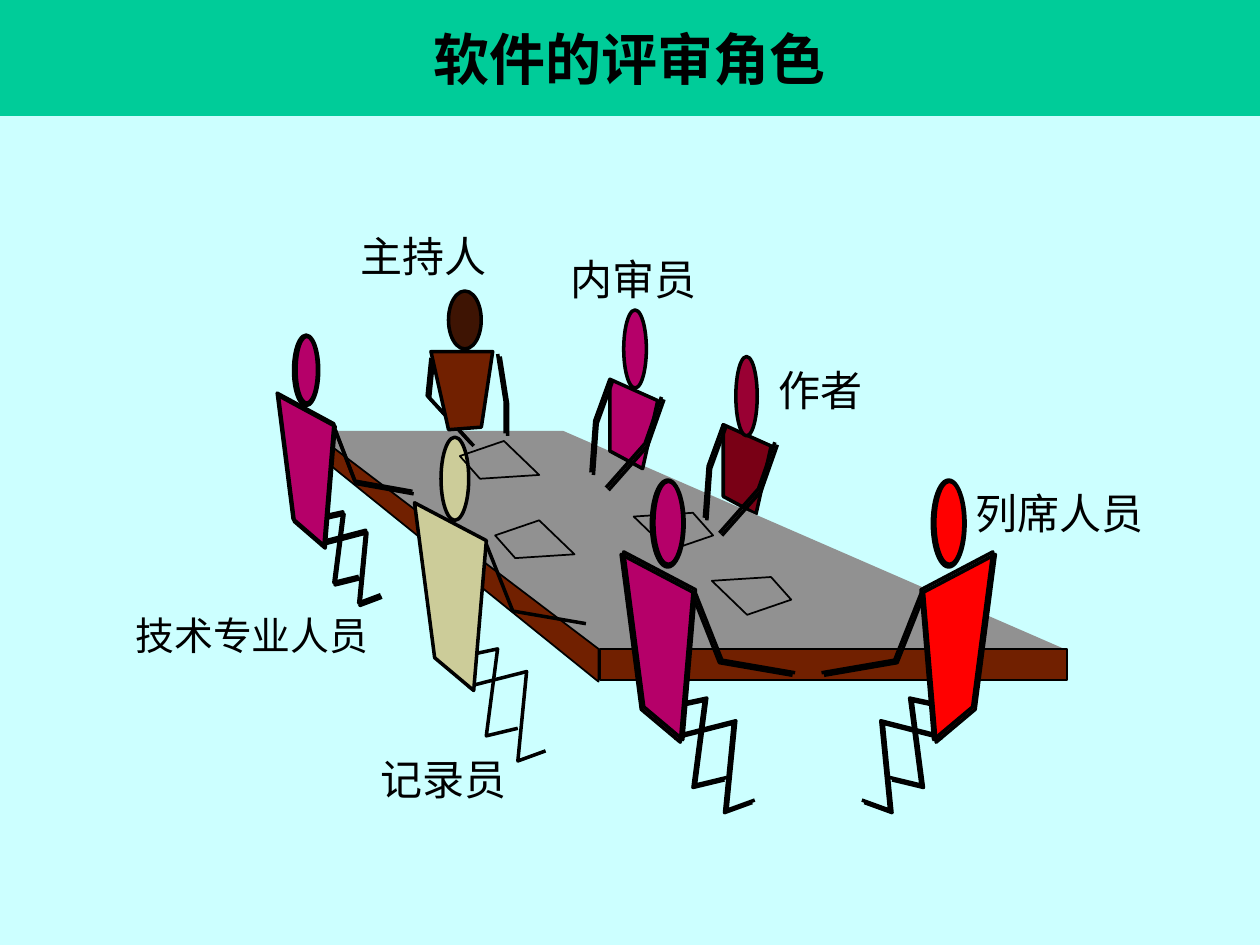
from collections import namedtuple
from dataclasses import dataclass

import pptx
import pptx.dml.color
import pptx.enum.shapes
import pptx.enum.text
import pptx.util

Inches = pptx.util.Inches
Align = pptx.enum.text.PP_ALIGN
Anchor = pptx.enum.text.MSO_ANCHOR
Preset = pptx.enum.shapes.MSO_SHAPE
Box = namedtuple("Box", "left top width height")


@dataclass(frozen=True)
class Theme:
    background: str = "CCFFFF"
    banner: str = "00CC99"
    ink: str = "000000"
    white: str = "FFFFFF"
    tabletop: str = "919191"
    wood: str = "712000"
    dark_skin: str = "3E1403"
    magenta: str = "B50069"
    sand: str = "CCCC99"
    red: str = "FF0000"
    maroon: str = "790015"
    crimson: str = "990033"
    title_font: str = "Times New Roman"
    label_font: str = "Arial"
    title_size: float = 32
    label_size: float = 24
    small_label_size: float = 22.2
    thick: float = 2
    thin: float = 1


THEME = Theme()
SEATED_BODY = [(0.16, 1.23), (0, 0), (0.57, 0.3), (0.47, 1.49)]
SEATED_ARM = [(0.57, 0.33), (0.78, 0.86), (1.36, 0.96)]
SEATED_LEGS = [
    [(0.19, 1.26), (0.66, 1.16), (0.57, 1.85), (0.82, 1.79)],
    [(0.42, 1.46), (0.89, 1.34), (0.82, 2.05), (1.04, 1.97)],
]
SEATED_SIZE = (0.57, 1.49)
FAR_BODY = [(0, 0.57), (0, 0), (0.38, 0.17), (0.26, 0.71)]
FAR_ARMS = [
    [(0.41, 0.14), (0.28, 0.51), (-0.03, 0.86)],
    [(0, 0), (-0.12, 0.33), (-0.15, 0.74)],
]
HOST_BODY = [(0, 0), (0.49, 0), (0.4, 0.6), (0.14, 0.62)]
HOST_ARMS = [
    [(0, 0.05), (-0.03, 0.35), (0.32, 0.73)],
    [(0.53, 0.02), (0.59, 0.4), (0.59, 0.65)],
]
PAPER = [(0.16, 0.3), (0.63, 0.27), (0.35, 0), (0, 0.12)]


def color(value):
    return pptx.dml.color.RGBColor.from_string(value)


def paint(shape, fill, width):
    shape.shadow.inherit = False
    if fill:
        shape.fill.solid()
        shape.fill.fore_color.rgb = color(fill)
    else:
        shape.fill.background()
    if width:
        shape.line.color.rgb = color(THEME.ink)
        shape.line.width = pptx.util.Pt(width)
    else:
        shape.line.fill.background()
    return shape


def add_preset(page, preset, box, fill=None, width=THEME.thick):
    shape = page.shapes.add_shape(preset, *map(Inches, box))
    return paint(shape, fill, width)


def add_outline(page, points, fill=None, width=THEME.thick, closed=False):
    corners = [(Inches(x), Inches(y)) for x, y in points]
    builder = page.shapes.build_freeform(*corners[0], scale=1.0)
    builder.add_line_segments(corners[1:], close=closed)
    return paint(builder.convert_to_shape(), fill, width)


def shift(points, x, y):
    return [(left + x, top + y) for left, top in points]


def write(shape, words, size, font, align, bold=False, spacing=None):
    frame = shape.text_frame
    frame.word_wrap = True
    frame.margin_left = frame.margin_right = Inches(0.09)
    frame.margin_top = frame.margin_bottom = Inches(0.05)
    para = frame.paragraphs[0]
    para.alignment = align
    if spacing:
        para.line_spacing = spacing
    span = para.add_run()
    span.text = words
    span.font.size = pptx.util.Pt(size)
    span.font.name = font
    span.font.bold = bold
    span.font.color.rgb = color(THEME.ink)


def add_banner(page, box, words):
    banner = add_preset(page, Preset.RECTANGLE, box, THEME.banner, None)
    banner.text_frame.vertical_anchor = Anchor.MIDDLE
    write(banner, words, THEME.title_size, THEME.title_font, Align.CENTER, True)


def add_label(page, box, words, size=THEME.label_size, align=Align.JUSTIFY, spacing=None):
    label = page.shapes.add_textbox(*map(Inches, box))
    write(label, words, size, THEME.label_font, align, spacing=spacing)


def add_table_block(page, box):
    left, top, right = box.left, box.top, box.left + box.width
    front = top + box.height
    corner = left + 2.28
    surface = [(left, top), (left + 2, top), (right, front), (corner, front)]
    add_outline(page, surface, THEME.tabletop, None, True)
    edge = Box(corner + 0.01, front - 0.01, 3.71, 0.25)
    add_preset(page, Preset.RECTANGLE, edge, THEME.wood, THEME.thin)
    side = [(corner, front - 0.01), (left, top), (left, top + 0.15), (corner, front + 0.25)]
    add_outline(page, side, THEME.wood, THEME.thin, True)


def add_paper(page, box, turned):
    points = [(box.width - x, box.height - y) for x, y in PAPER] if turned else PAPER
    add_outline(page, shift(points, box.left, box.top), None, THEME.thin, True)


def add_seated(page, box, head, fill, mirrored=False, echo=None):
    def place(points):
        scaled = [(x * box.width / SEATED_SIZE[0], y * box.height / SEATED_SIZE[1])
                  for x, y in points]
        if mirrored:
            scaled = [(box.width - x, y) for x, y in scaled]
        return shift(scaled, box.left, box.top)

    offsets = [(0, 0)] + ([echo] if echo else [])
    for leg in SEATED_LEGS:
        for offset in offsets:
            add_outline(page, shift(place(leg), *offset))
    for offset in offsets:
        body_fill = fill if offset == (0, 0) else None
        add_outline(page, shift(place(SEATED_BODY), *offset), body_fill, closed=True)
    add_preset(page, Preset.OVAL, head, fill)
    if echo:
        rim = Box(head.left - 0.02, head.top - 0.01, head.width + 0.03, head.height + 0.03)
        add_preset(page, Preset.OVAL, rim)
    for offset in offsets:
        add_outline(page, shift(place(SEATED_ARM), *offset))


def add_far_body(page, box, body, fill):
    add_outline(page, shift(body, box.left, box.top), fill, closed=True)


def add_far_head_and_arms(page, box, head, arms, fill):
    inner = Box(head.left + 0.02, head.top + 0.02, head.width - 0.03, head.height - 0.03)
    add_preset(page, Preset.OVAL, inner, THEME.white)
    add_preset(page, Preset.OVAL, head, fill)
    for arm in arms:
        for offset in (0.02, 0):
            add_outline(page, shift(arm, box.left + offset, box.top + offset))


def add_meeting(page, box):
    author = Box(5.74, 3.37, 0.38, 0.71)
    host = Box(3.42, 2.79, 0.49, 0.62)
    reviewer = Box(4.84, 3.01, 0.38, 0.71)
    add_far_body(page, author, FAR_BODY, THEME.maroon)
    add_table_block(page, box)
    add_seated(page, Box(3.29, 3.99, 0.57, 1.49), Box(3.5, 3.47, 0.22, 0.66), THEME.sand)
    add_seated(page, Box(7.33, 4.4, 0.57, 1.49), Box(7.42, 3.82, 0.23, 0.66),
               THEME.red, True, (-0.02, -0.02))
    add_far_head_and_arms(page, host, Box(3.56, 2.31, 0.26, 0.46), HOST_ARMS, THEME.dark_skin)
    add_far_head_and_arms(page, author, Box(5.84, 2.83, 0.17, 0.63), FAR_ARMS, THEME.crimson)
    for left, top, turned in [(3.93, 4.13, False), (5.65, 4.58, True),
                              (5.03, 4.07, True), (3.65, 3.5, False)]:
        add_paper(page, Box(left, top, 0.63, 0.3), turned)
    add_far_body(page, host, HOST_BODY, THEME.wood)
    add_far_body(page, reviewer, FAR_BODY, THEME.magenta)
    add_far_head_and_arms(page, reviewer, Box(4.95, 2.46, 0.18, 0.62), FAR_ARMS, THEME.magenta)
    add_seated(page, Box(2.21, 3.14, 0.45, 1.21), Box(2.35, 2.67, 0.17, 0.53),
               THEME.magenta, echo=(-0.01, -0.02))
    add_seated(page, Box(4.93, 4.4, 0.57, 1.49), Box(5.19, 3.82, 0.23, 0.66),
               THEME.magenta, echo=(0.02, -0.02))


def main():
    deck = pptx.Presentation()
    deck.slide_width, deck.slide_height = Inches(10), Inches(7.5)
    page = deck.slides.add_slide(deck.slide_layouts[6])
    page.background.fill.solid()
    page.background.fill.fore_color.rgb = color(THEME.background)
    add_banner(page, Box(0, 0, 10, 0.92), "软件的评审角色")
    add_meeting(page, Box(2.47, 3.42, 6, 1.74))
    for words, left, top, width in [("主持人", 2.77, 1.78, 1.5), ("作者", 6.09, 2.84, 1.1),
                                    ("记录员", 2.93, 5.93, 1.5), ("列席人员", 7.65, 3.82, 1.88),
                                    ("内审员", 4.44, 1.96, 1.5)]:
        add_label(page, Box(left, top, width, 0.61), words)
    add_label(page, Box(0.67, 4.85, 2.66, 0.49), "技术专业人员",
              THEME.small_label_size, Align.CENTER, 0.9)
    deck.save("out.pptx")


if __name__ == "__main__":
    main()
